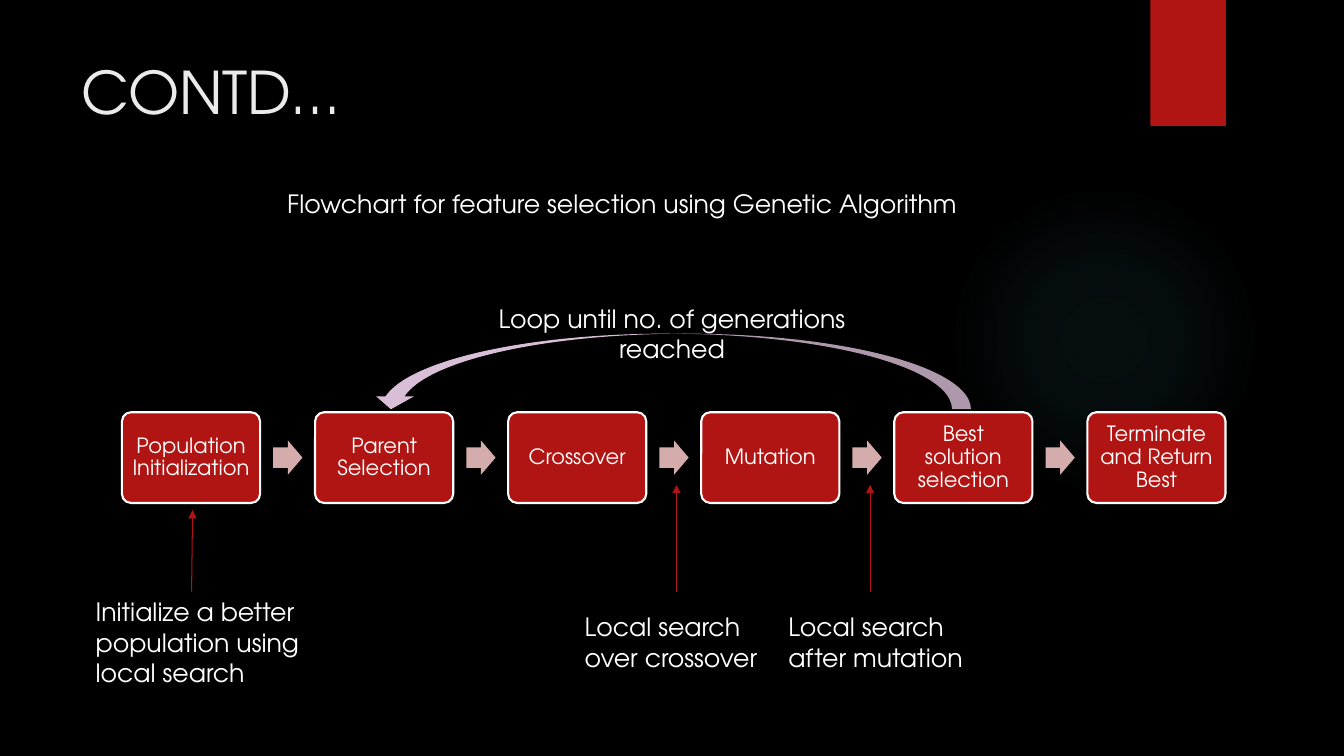
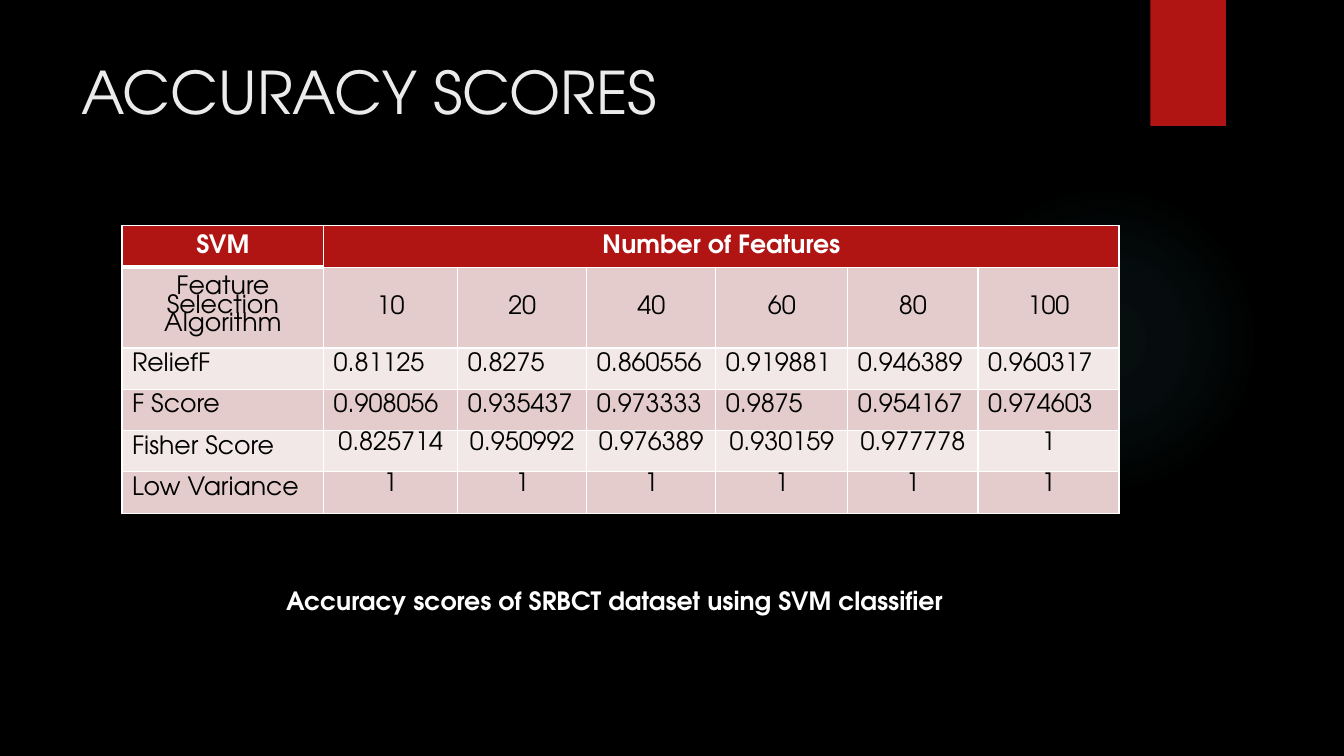
from lxml.etree import SubElement
from pptx import Presentation
from pptx.dml.color import RGBColor
from pptx.enum.shapes import MSO_CONNECTOR, MSO_SHAPE
from pptx.enum.text import MSO_ANCHOR, PP_ALIGN
from pptx.oxml.ns import qn
from pptx.util import Inches, Pt

FONT = "TeX Gyre Adventor"
HUES = {
    "back": "000000",
    "red": "B01513",
    "title": "EBEBEB",
    "white": "FFFFFF",
    "black": "000000",
    "arrow": "D4ACAB",
    "loop": "D9BED7",
    "glow": "50B9C1",
    "dark": "E4CCCC",
    "light": "F2E8E7",
}


def write(item, text, size=18, hue="white", bold=False, align=PP_ALIGN.LEFT,
          anchor=MSO_ANCHOR.TOP, inset=(0.1, 0.05), space=None):
    frame = item.text_frame
    frame.word_wrap = True
    box = item if hasattr(item, "margin_left") else frame
    box.vertical_anchor = anchor
    box.margin_left = box.margin_right = Inches(inset[0])
    box.margin_top = box.margin_bottom = Inches(inset[1])
    para = frame.paragraphs[0]
    para.alignment = align
    if space:
        para.line_spacing = space
    run = para.add_run()
    run.text = text
    run.font.name = FONT
    run.font.size = Pt(size)
    run.font.bold = bold
    run.font.color.rgb = RGBColor.from_string(HUES[hue])


def draw(slide, kind, place, hue, adjust=()):
    shape = slide.shapes.add_shape(kind, *map(Inches, place))
    shape.shadow.inherit = False
    shape.fill.solid()
    shape.fill.fore_color.rgb = RGBColor.from_string(HUES[hue])
    shape.line.fill.background()
    for index, value in enumerate(adjust):
        shape.adjustments[index] = value
    return shape


deck = Presentation()
deck.slide_width = Inches(13.33)
deck.slide_height = Inches(7.5)

slides = []
for title in ("CONTD…", "ACCURACY SCORES"):
    slide = deck.slides.add_slide(deck.slide_layouts[6])
    slide.background.fill.solid()
    slide.background.fill.fore_color.rgb = RGBColor.from_string(HUES["back"])

    glow = draw(slide, MSO_SHAPE.OVAL, (9.41, 1.83, 3.08, 3.08), "glow")
    props = glow.element.spPr
    grad = props.makeelement(qn("a:gradFill"))
    stops = SubElement(grad, qn("a:gsLst"))
    for point, alpha in ((0, 7), (36, 6), (69, 0)):
        stop = SubElement(stops, qn("a:gs"), pos=str(point * 1000))
        tint = SubElement(stop, qn("a:srgbClr"), val=HUES["glow"])
        SubElement(tint, qn("a:alpha"), val=str(alpha * 1000))
    round_fill = SubElement(grad, qn("a:path"), {"path": "circle"})
    SubElement(round_fill, qn("a:fillToRect"), {side: "50000" for side in "ltrb"})
    props.replace(props.find(qn("a:solidFill")), grad)

    draw(slide, MSO_SHAPE.RECTANGLE, (11.41, 0, 0.75, 1.25), "red")
    head = slide.shapes.add_textbox(*map(Inches, (0.71, 0.5, 10.29, 1.53)))
    write(head, title, size=42, hue="title")
    slides.append(slide)

flow, score = slides

steps = ("Population Initialization", "Parent Selection", "Crossover", "Mutation",
         "Best solution selection", "Terminate and Return Best")
for index, step in enumerate(steps):
    left = 1.21 + index * 1.915
    box = draw(flow, MSO_SHAPE.ROUNDED_RECTANGLE, (left, 4.09, 1.37, 0.9), "red", (0.1,))
    box.line.color.rgb = RGBColor.from_string(HUES["white"])
    box.line.width = Pt(1.5)
    write(box, step, size=15, align=PP_ALIGN.CENTER, anchor=MSO_ANCHOR.MIDDLE,
          inset=(0.06, 0.06), space=0.9)
    if index < len(steps) - 1:
        draw(flow, MSO_SHAPE.RIGHT_ARROW, (left + 1.5, 4.37, 0.29, 0.34), "arrow", (0.6, 0.5))

for start, end in (((1.9, 5.87), (1.91, 5.06)),
                   ((6.71, 5.87), (6.71, 4.81)),
                   ((8.63, 5.87), (8.63, 4.81))):
    line = flow.shapes.add_connector(MSO_CONNECTOR.STRAIGHT, *map(Inches, start + end))
    line.line.color.rgb = RGBColor.from_string(HUES["red"])
    line.line.width = Pt(0.75)
    SubElement(line.line._get_or_add_ln(), qn("a:tailEnd"), type="triangle")
    SubElement(line.element.spPr, qn("a:effectLst"))

loop = draw(flow, MSO_SHAPE.CURVED_DOWN_ARROW, (3.69, 3.31, 5.94, 0.75), "loop",
            (0.25, 0.5, 0.17))
loop.element.spPr.find(qn("a:xfrm")).set("flipH", "1")

labels = (
    (flow, (0.85, 5.87, 2.51, 1.01), "Initialize a better population using local search", {}),
    (flow, (5.7, 6.02, 2.01, 0.71), "Local search over crossover", {}),
    (flow, (7.72, 6.02, 2.18, 0.71), "Local search after mutation", {}),
    (flow, (4.7, 2.96, 3.93, 0.71), "Loop until no. of generations reached",
     {"align": PP_ALIGN.CENTER}),
    (flow, (2.75, 1.82, 7.91, 0.4), "Flowchart for feature selection using Genetic Algorithm", {}),
    (score, (1.31, 5.76, 9.57, 0.4), "Accuracy scores of SRBCT dataset using SVM classifier",
     {"align": PP_ALIGN.CENTER, "bold": True}),
)
for slide, place, text, style in labels:
    write(slide.shapes.add_textbox(*map(Inches, place)), text, **style)

rows = (
    ("SVM", "Number of Features", "", "", "", "", ""),
    ("Feature Selection Algorithm", "10", "20", "40", "60", "80", "100"),
    ("ReliefF", "0.81125", "0.8275", "0.860556", "0.919881", "0.946389", "0.960317"),
    ("F Score", "0.908056", "0.935437", "0.973333", "0.9875", "0.954167", "0.974603"),
    ("Fisher Score", "0.825714", "0.950992", "0.976389", "0.930159", "0.977778", "1"),
    ("Low Variance", "1", "1", "1", "1", "1", "1"),
)
widths = (2, 1.33, 1.28, 1.28, 1.31, 1.29, 1.4)
heights = (0.41, 0.79, 0.41, 0.41, 0.41, 0.41)
table = score.shapes.add_table(len(rows), len(widths), Inches(1.21), Inches(2.24),
                               Inches(sum(widths)), Inches(sum(heights))).table
for column, width in zip(table.columns, widths):
    column.width = Inches(width)
for row, height in zip(table.rows, heights):
    row.height = Inches(height)
table.cell(0, 1).merge(table.cell(0, 6))

for down, row in enumerate(rows):
    for across, text in enumerate(row):
        cell = table.cell(down, across)
        style = {"hue": "black"}
        if down < 2:
            style.update(align=PP_ALIGN.CENTER, anchor=MSO_ANCHOR.MIDDLE)
        if down == 0:
            style.update(hue="white", bold=True)
        elif down == 1 and across == 0:
            style.update(space=0.78)
        elif down > 3 and across > 0:
            style.update(align=PP_ALIGN.CENTER, inset=(0.07, 0), space=1.05)
        if text:
            write(cell, text, **style)
        props = cell._tc.get_or_add_tcPr()
        for side in "LRTB":
            thick = (down, across, side) in ((0, 0, "B"), (1, 0, "T"))
            edge = SubElement(props, qn("a:ln" + side), w=str(Pt(3 if thick else 1)))
            SubElement(SubElement(edge, qn("a:solidFill")), qn("a:srgbClr"), val=HUES["white"])
        cell.fill.solid()
        shade = "red" if down == 0 else "dark" if down % 2 else "light"
        cell.fill.fore_color.rgb = RGBColor.from_string(HUES[shade])

deck.save("out.pptx")
